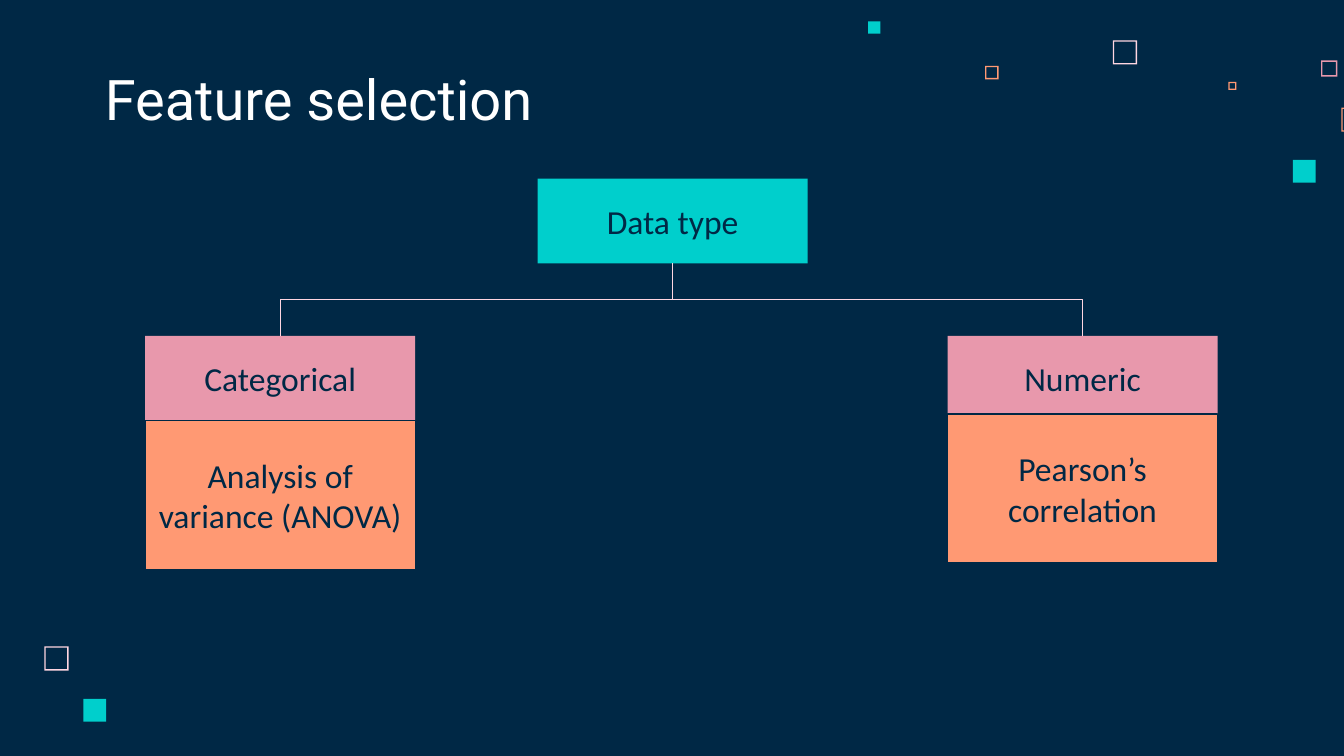
import dataclasses

import pptx
import pptx.dml.color
import pptx.enum.shapes
import pptx.enum.text
import pptx.oxml.ns
import pptx.util
from lxml import etree

Inches = pptx.util.Inches
Pt = pptx.util.Pt


@dataclasses.dataclass(frozen=True)
class Theme:
    """Colours, fonts and sizes of the slide."""
    navy: str = "002845"
    white: str = "FFFFFF"
    teal: str = "00CFCC"
    pink: str = "E898AC"
    orange: str = "FF9973"
    pale: str = "FFD6E1"
    title_font: str = "Roboto"
    body_font: str = "Calibri"
    title_size: int = 30
    body_size: int = 18
    line_width: float = 0.75


@dataclasses.dataclass(frozen=True)
class Box:
    """A rectangle in inches."""
    left: float
    top: float
    width: float
    height: float

    def inside(self, left, top, width, height):
        """Return a box offset from this one's corner."""
        return Box(self.left + left, self.top + top, width, height)

    def lengths(self):
        """Return left, top, width and height as lengths."""
        return [Inches(value) for value in dataclasses.astuple(self)]


THEME = Theme()


def rgb(value):
    """Turn a hex string into a colour."""
    return pptx.dml.color.RGBColor.from_string(value)


def paint(shape, fill, line=None):
    """Give a shape a flat fill and an optional outline."""
    shape.shadow.inherit = False
    shape.fill.solid()
    shape.fill.fore_color.rgb = rgb(fill)
    if line:
        shape.line.color.rgb = rgb(line)
        shape.line.width = Pt(THEME.line_width)
    else:
        shape.line.fill.background()


def write(shape, text, font, size, color, alignment, anchor):
    """Set one paragraph of formatted text in a shape."""
    frame = shape.text_frame
    frame.word_wrap = True
    frame.auto_size = pptx.enum.text.MSO_AUTO_SIZE.NONE
    frame.vertical_anchor = anchor
    frame.margin_left = frame.margin_right = Inches(0.1)
    frame.margin_top = frame.margin_bottom = Inches(0.1)
    paragraph = frame.paragraphs[0]
    paragraph.alignment = alignment
    run = paragraph.add_run()
    run.text = text
    run.font.name = font
    run.font.size = Pt(size)
    run.font.color.rgb = rgb(color)


def add_rectangle(slide, box, fill, line=None):
    """Add a flat rectangle."""
    shape = slide.shapes.add_shape(
        pptx.enum.shapes.MSO_SHAPE.RECTANGLE, *box.lengths())
    paint(shape, fill, line)
    return shape


def add_node(slide, box, text, fill, line=None):
    """Add a labelled rectangle of the tree."""
    node = add_rectangle(slide, box, fill, line)
    write(node, text, THEME.body_font, THEME.body_size, THEME.navy,
          pptx.enum.text.PP_ALIGN.CENTER, pptx.enum.text.MSO_ANCHOR.MIDDLE)
    return node


def add_hollow_square(slide, box, color, thickness=0.01):
    """Add a square ring as one outline with a hole."""
    def corners(inset):
        near_x, near_y = box.left + inset, box.top + inset
        far_x, far_y = box.left + box.width - inset, box.top + box.height - inset
        return [(Inches(x), Inches(y)) for x, y in (
            (near_x, near_y), (near_x, far_y), (far_x, far_y), (far_x, near_y))]

    outer, inner = corners(0), corners(thickness)[::-1]
    builder = slide.shapes.build_freeform(*outer[0])
    builder.add_line_segments(outer[1:], close=True)
    builder.move_to(*inner[0])
    builder.add_line_segments(inner[1:], close=True)
    paint(builder.convert_to_shape(), color)


def add_branch(slide, parent, child):
    """Join a parent's bottom to a child's top with a vertical-first elbow."""
    connector = slide.shapes.add_connector(
        pptx.enum.shapes.MSO_CONNECTOR.ELBOW, 0, 0, 0, 0)
    connector.begin_connect(parent, 2)
    connector.end_connect(child, 0)
    start_x, start_y = connector.begin_x, connector.begin_y
    end_x, end_y = connector.end_x, connector.end_y
    drop, span = end_y - start_y, abs(end_x - start_x)
    connector.left = (start_x + end_x - drop) // 2
    connector.top = (start_y + end_y - span) // 2
    connector.width, connector.height = drop, span
    rightward = end_x > start_x
    properties = connector._element.spPr
    transform = properties.find(pptx.oxml.ns.qn("a:xfrm"))
    transform.set("rot", str((270 if rightward else 90) * 60000))
    transform.set("flipH", "1" if rightward else "0")
    connector.line.color.rgb = rgb(THEME.pale)
    connector.line.width = Pt(THEME.line_width)
    etree.SubElement(properties, pptx.oxml.ns.qn("a:effectLst"))


def build_title(slide, box, text):
    """Place and format the title."""
    title = slide.shapes.title
    title.left, title.top, title.width, title.height = box.lengths()
    write(title, text, THEME.title_font, THEME.title_size, THEME.white,
          pptx.enum.text.PP_ALIGN.LEFT, pptx.enum.text.MSO_ANCHOR.BOTTOM)


def build_squares(slide, box, squares):
    """Scatter solid and hollow squares over a box."""
    for left, top, size, color, solid in squares:
        draw = add_rectangle if solid else add_hollow_square
        draw(slide, box.inside(left, top, size, size), color)


def build_tree(slide, box, root_text, branches):
    """Draw the root, its branches and the method below each branch."""
    width, height, method_height, branch_top = 2.01, 0.63, 1.11, 1.17
    root = add_node(slide, box.inside(2.92, 0, width, height),
                    root_text, THEME.teal)
    lefts = (0, box.width - width)
    for left, (name, method, method_offset) in zip(lefts, branches):
        child = add_node(slide, box.inside(left, branch_top, width, height),
                         name, THEME.pink)
        add_branch(slide, root, child)
        add_node(slide, box.inside(left, branch_top + method_offset, width,
                                   method_height),
                 method, THEME.orange, THEME.navy)


def main():
    """Build and save the presentation."""
    presentation = pptx.Presentation()
    presentation.slide_width = Inches(10)
    presentation.slide_height = presentation.slide_width * 9 // 16
    slide = presentation.slides.add_slide(presentation.slide_layouts[5])
    slide.background.fill.solid()
    slide.background.fill.fore_color.rgb = rgb(THEME.navy)
    build_squares(slide, Box(6.46, 0.16, 3.54, 1.2), [
        (1.82, 0.14, 0.18, THEME.pale, False),
        (3.37, 0.29, 0.12, THEME.pink, False),
        (2.68, 0.45, 0.06, THEME.orange, False),
        (3.52, 0.64, 0.18, THEME.orange, False),
        (3.16, 1.03, 0.17, THEME.teal, True),
        (0.87, 0.33, 0.1, THEME.orange, False),
        (0, 0, 0.09, THEME.teal, True),
    ])
    build_squares(slide, Box(0.33, 4.81, 0.46, 0.56), [
        (0, 0, 0.18, THEME.pale, False),
        (0.29, 0.39, 0.17, THEME.teal, True),
    ])
    build_title(slide, Box(0.68, 0.45, 5.17, 0.63), "Feature selection")
    build_tree(slide, Box(1.08, 1.33, 7.98, 2.91), "Data type", [
        ("Categorical", "Analysis of variance (ANOVA)", 0.63),
        ("Numeric", "Pearson’s correlation", 0.58),
    ])
    presentation.save("out.pptx")


if __name__ == "__main__":
    main()
